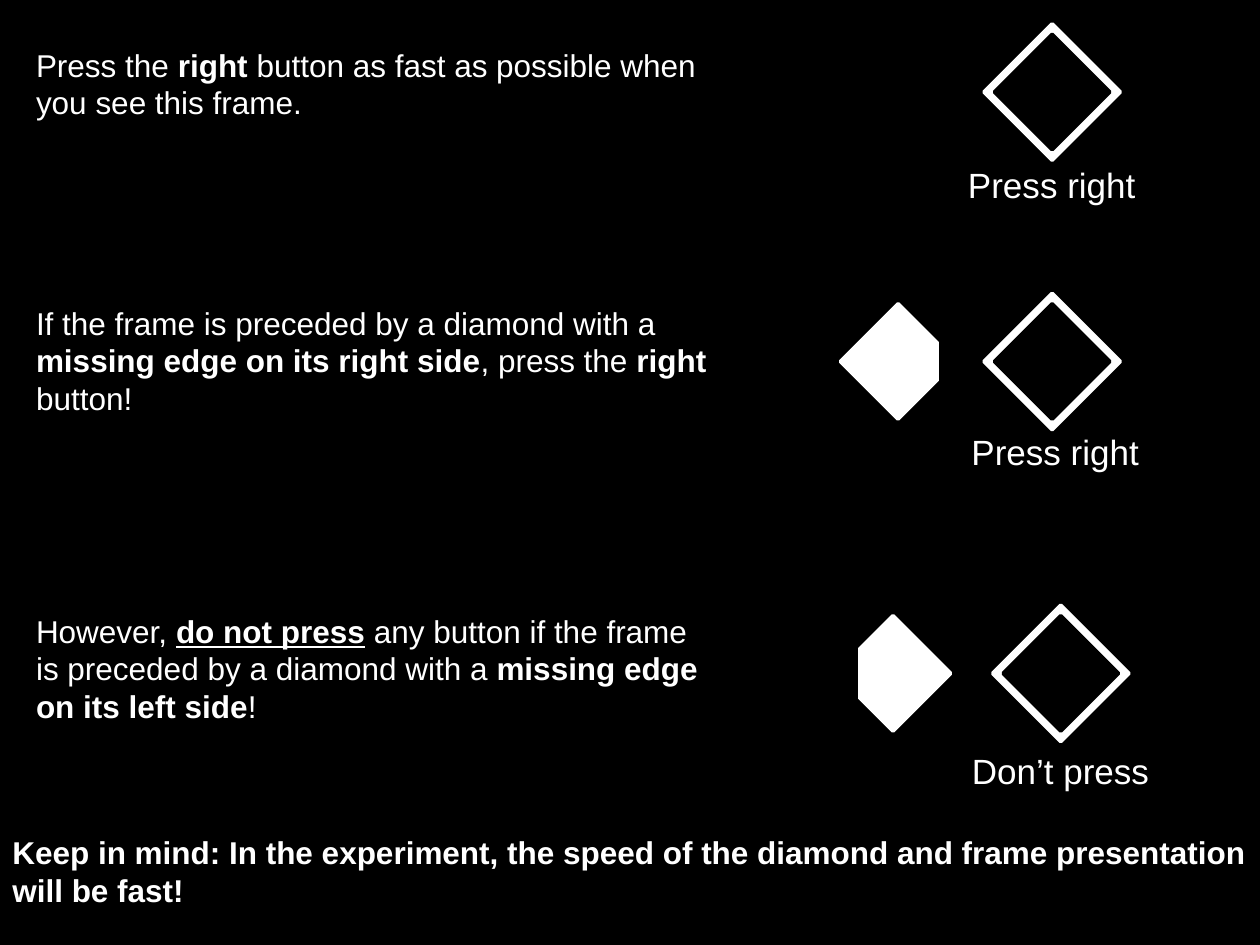
from pptx import Presentation
from pptx.dml.color import RGBColor
from pptx.enum.shapes import MSO_SHAPE
from pptx.enum.text import PP_ALIGN
from pptx.util import Pt

DIAMOND, RECT = MSO_SHAPE.DIAMOND, MSO_SHAPE.RECTANGLE
LEFT, CENTER = PP_ALIGN.LEFT, PP_ALIGN.CENTER
WHITE, BLACK = "FFFFFF", "000000"
FRAME, HOLE, CUE = 78, 66, 66
CUT_W, CUT_H = 15, 36

# Content: runs are (text, style), with b for bold and u for underline
RULES = [
    {"runs": [("Press the ", ""), ("right ", "b"),
              ("button as fast as possible when you see this frame.", "")],
     "box": (13.5, 22.5, 400, 51),
     "frame": (601.2, 52.6), "label": "Press right", "at": (535, 90)},
    {"runs": [("If the frame is preceded by a diamond with a ", ""),
              ("missing edge on its right side", "b"), (", press the ", ""),
              ("right", "b"), (" button!", "")],
     "box": (13.5, 170, 397.5, 73),
     "frame": (601.2, 206.6), "label": "Press right", "at": (537, 242.5),
     "cue": (513.2, 206.6), "cut": 544.8},
    {"runs": [("However, ", ""), ("do not press", "bu"),
              (" any button if the frame is preceded by a diamond with a ", ""),
              ("missing edge on its left side", "b"), ("!", "")],
     "box": (13.5, 346, 400, 73),
     "frame": (606.2, 384.8), "label": "Don’t press", "at": (540, 424.5),
     "cue": (510.3, 384.8), "cut": 482},
]
NOTE = ("Keep in mind: In the experiment, the speed of the diamond "
        "and frame presentation will be fast!")


def color(code):
    return RGBColor.from_string(code)


def add_text(slide, runs, box, size=18, align=LEFT):
    frame = slide.shapes.add_textbox(*map(Pt, box)).text_frame
    frame.word_wrap = True
    para = frame.paragraphs[0]
    para.alignment = align
    for text, style in runs:
        run = para.add_run()
        run.text = text
        font = run.font
        font.name, font.size = "Arial", Pt(size)
        font.bold, font.underline = "b" in style, "u" in style
        font.color.rgb = color(WHITE)


def add_form(slide, kind, mid, wide, high, tint):
    x, y = mid
    form = slide.shapes.add_shape(
        kind, Pt(x - wide / 2), Pt(y - high / 2), Pt(wide), Pt(high))
    form.shadow.inherit = False
    form.fill.solid()
    form.fill.fore_color.rgb = color(tint)
    form.line.color.rgb = color(tint)
    form.line.width = Pt(2)


def main():
    deck = Presentation()
    deck.slide_width, deck.slide_height = Pt(720), Pt(540)
    slide = deck.slides.add_slide(deck.slide_layouts[6])
    fill = slide.background.fill
    fill.solid()
    fill.fore_color.rgb = color(BLACK)

    for rule in RULES:
        # Instruction
        add_text(slide, rule["runs"], rule["box"])
        # Diamond with one corner cut off
        if "cue" in rule:
            add_form(slide, DIAMOND, rule["cue"], CUE, CUE, WHITE)
            add_form(slide, RECT, (rule["cut"], rule["cue"][1]),
                     CUT_W, CUT_H, BLACK)
        # Hollow frame and its label
        add_form(slide, DIAMOND, rule["frame"], FRAME, FRAME, WHITE)
        add_form(slide, DIAMOND, rule["frame"], HOLE, HOLE, BLACK)
        add_text(slide, [(rule["label"], "")], (*rule["at"], 132, 31.5),
                 size=20, align=CENTER)

    # Closing note
    add_text(slide, [(NOTE, "b")], (0, 472.5, 720, 51))
    deck.save("out.pptx")


if __name__ == "__main__":
    main()
